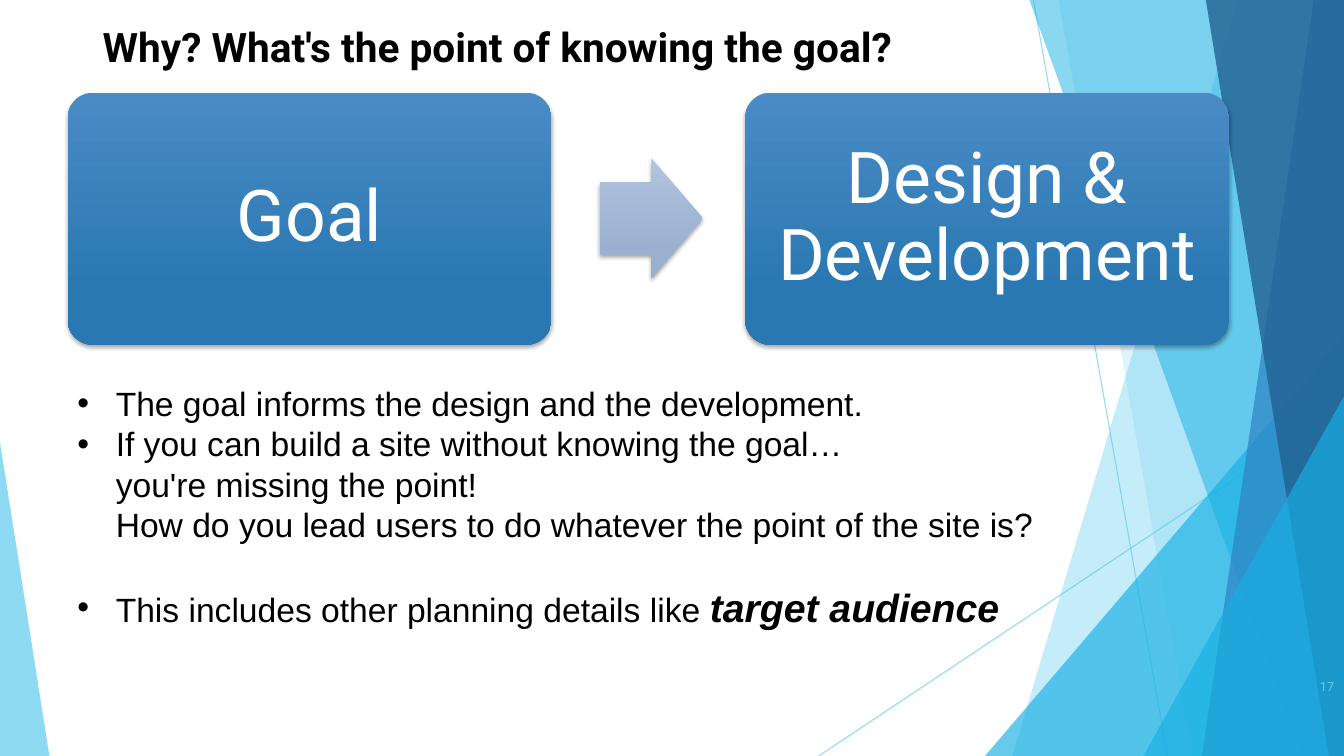
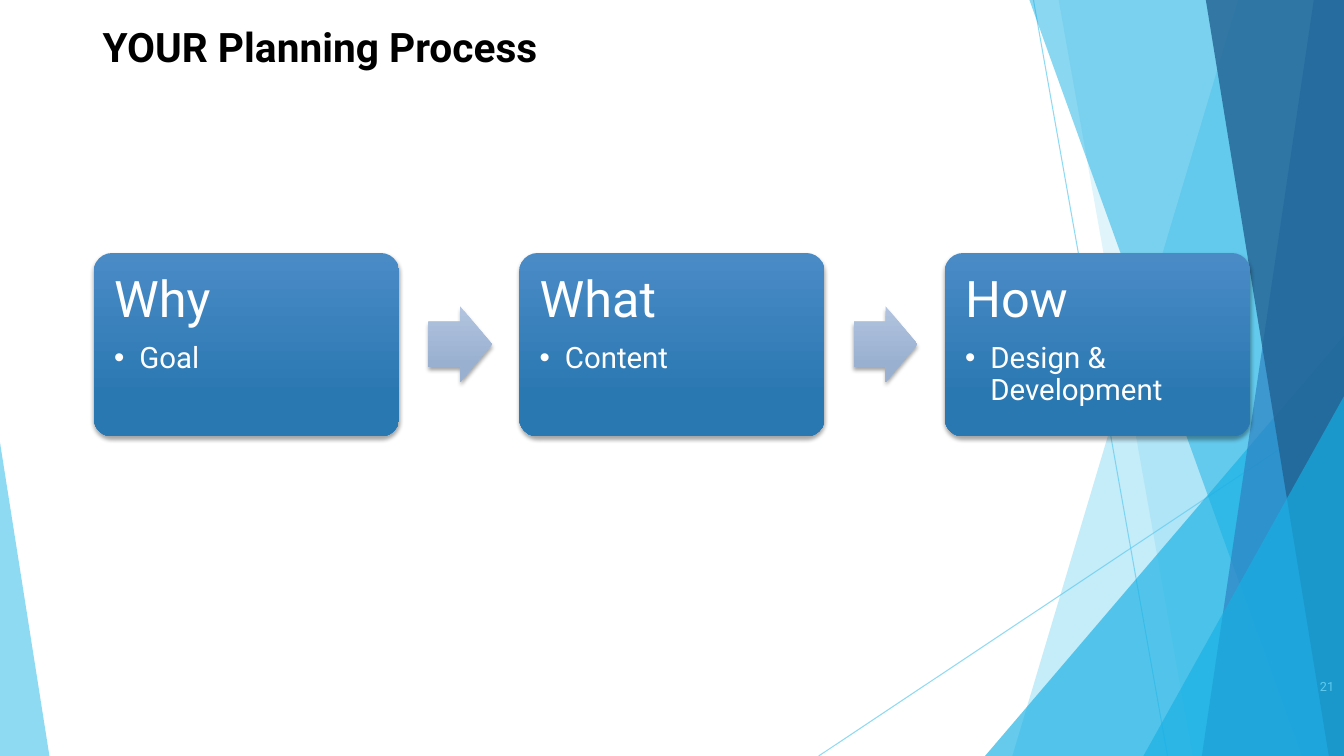
from dataclasses import dataclass

from lxml.etree import SubElement
from pptx import Presentation
from pptx.dml.color import RGBColor
from pptx.enum.shapes import MSO_CONNECTOR, MSO_SHAPE
from pptx.enum.text import MSO_ANCHOR, PP_ALIGN
from pptx.oxml.ns import qn
from pptx.util import Pt

PX = 9144  # EMU per px: 100 px to the inch
WIDTH, HEIGHT = 1333, 750
HEADING_FONT, BODY_FONT = "Roboto", "Arial"
BLACK, WHITE = "000000", "FFFFFF"
SKY, CYAN, BLUE, NAVY = "5FCBEF", "17B0E4", "2E83C3", "226292"
CARD_COLORS = ("4A8BC6", "2A78B2")
ARROW_COLORS = ("B2C4DF", "99B0D0")


@dataclass(frozen=True)
class Ray:
    start: tuple[int, int]
    end: tuple[int, int]


@dataclass(frozen=True)
class Band:
    """A facet of the backdrop, filled with a see-through colour."""
    points: tuple[tuple[int, int], ...]
    color: str
    opacity: int


@dataclass(frozen=True)
class Card:
    heading: str
    bullet: str = ""


@dataclass(frozen=True)
class Flow:
    """A row of equal cards with an arrow in each gap."""
    left: int
    top: int
    width: int
    height: int
    pitch: int
    inset: int
    heading_size: int
    anchor: MSO_ANCHOR
    align: PP_ALIGN
    cards: tuple[Card, ...]


@dataclass(frozen=True)
class Point:
    lines: tuple[str, ...]
    emphasis: str = ""
    space_before: int = 0


def right_band(top: int, bottom: int, color: str, opacity: int) -> Band:
    """A band that reaches from a slanted left edge to the slide's right edge."""
    points = ((top, 0), (WIDTH, 0), (WIDTH, HEIGHT), (bottom, HEIGHT))
    return Band(points, color, opacity)


def corner_band(left: int, top: int) -> Band:
    """A triangle in the bottom right corner."""
    return Band(((WIDTH, top), (WIDTH, HEIGHT), (left, HEIGHT)), CYAN, 66)


RAYS = (Ray((1025, 0), (1158, HEIGHT)), Ray((WIDTH, 403), (812, HEIGHT)))
BANDS = (
    right_band(1228, 1004, SKY, 36),
    right_band(1050, 1183, SKY, 20),
    corner_band(977, 333),
    right_band(1021, 1291, CYAN, 50),
    right_band(1303, 1192, BLUE, 70),
    right_band(1196, 1318, NAVY, 80),
    corner_band(1134, 393),
    Band(((0, 439), (49, HEIGHT), (0, HEIGHT)), SKY, 70),
)

GOAL_FLOW = Flow(67, 92, 480, 250, 672, 21, 51, MSO_ANCHOR.MIDDLE, PP_ALIGN.CENTER,
                 (Card("Goal"), Card("Design & Development")))
PLANNING_FLOW = Flow(93, 251, 303, 182, 422, 15, 36, MSO_ANCHOR.TOP, PP_ALIGN.LEFT,
                     (Card("Why", "Goal"), Card("What", "Content"),
                      Card("How", "Design & Development")))
GOAL_POINTS = (
    Point(("The goal informs the design and the development.",)),
    Point(("If you can build a site without knowing the goal…",
           "you're missing the point!",
           "How do you lead users to do whatever the point of the site is?")),
    Point(("This includes other planning details like ",), "target audience", 28),
)


# Formatting helpers
def rgb(color: str) -> RGBColor:
    return RGBColor.from_string(color)


def set_opacity(element, percent: int) -> None:
    """Make the solid colour inside a shape's properties see-through."""
    color = next(element.iter(qn("a:srgbClr")))
    SubElement(color, qn("a:alpha"), val=str(percent * 1000))


def set_font(font, name: str, size: int, color: str, bold: bool = False) -> None:
    font.name, font.size, font.bold = name, Pt(size), bold
    font.color.rgb = rgb(color)


def add_bullet(para, indent: int) -> None:
    properties = para._p.get_or_add_pPr()
    properties.set("marL", str(indent * PX))
    properties.set("indent", str(-indent * PX))
    SubElement(properties, qn("a:buFont"), typeface=BODY_FONT)
    SubElement(properties, qn("a:buChar"), char="•")


def add_text_box(page, left: int, top: int, width: int, height: int):
    box = page.shapes.add_textbox(left * PX, top * PX, width * PX, height * PX)
    box.text_frame.word_wrap = True
    return box.text_frame


# Shared parts of every slide
def draw_backdrop(page) -> None:
    for ray in RAYS:
        ends = [value * PX for value in ray.start + ray.end]
        line = page.shapes.add_connector(MSO_CONNECTOR.STRAIGHT, *ends)
        line.line.width = Pt(0.75)
        line.line.color.rgb = rgb(SKY)
        properties = line._element.spPr
        set_opacity(properties, 70)
        SubElement(properties, qn("a:effectLst"))
    for band in BANDS:
        builder = page.shapes.build_freeform(*band.points[0], scale=PX)
        builder.add_line_segments(band.points[1:], close=True)
        facet = builder.convert_to_shape()
        facet.shadow.inherit = False
        facet.fill.solid()
        facet.fill.fore_color.rgb = rgb(band.color)
        set_opacity(facet._element.spPr, band.opacity)
        facet.line.fill.background()


def draw_title(page, title: str) -> None:
    para = add_text_box(page, 92, 17, 1150, 100).paragraphs[0]
    para.text = title
    set_font(para.font, HEADING_FONT, 29, BLACK, bold=True)


def draw_page_number(page, number: int) -> None:
    frame = add_text_box(page, 1259, 661, 74, 40)
    frame.vertical_anchor = MSO_ANCHOR.MIDDLE
    para = frame.paragraphs[0]
    para.text = str(number)
    para.alignment = PP_ALIGN.RIGHT
    set_font(para.font, HEADING_FONT, 9, SKY)


def add_page(deck, title: str, number: int, flow: Flow):
    page = deck.slides.add_slide(deck.slide_layouts[6])
    draw_backdrop(page)
    draw_flow(page, flow)
    draw_title(page, title)
    draw_page_number(page, number)
    return page


# Flow of cards and arrows
def add_raised_shape(page, kind: MSO_SHAPE, left: int, top: int, width: int,
                     height: int, colors: tuple[str, str]):
    """Add a shape with a downward gradient and a soft shadow below it."""
    shape = page.shapes.add_shape(kind, left * PX, top * PX, width * PX, height * PX)
    shape.line.fill.background()
    shape.fill.gradient()
    shape.fill.gradient_angle = 270
    for stop, color, position in zip(shape.fill.gradient_stops, colors, (0, 0.78)):
        stop.color.rgb = rgb(color)
        stop.position = position
    shape.shadow.inherit = False
    effects = shape._element.spPr.find(qn("a:effectLst"))
    shadow = SubElement(effects, qn("a:outerShdw"), blurRad=str(Pt(3)),
                        dist=str(Pt(2)), dir="5400000", rotWithShape="0")
    SubElement(shadow, qn("a:srgbClr"), val=BLACK)
    set_opacity(shadow, 35)
    return shape


def draw_card(page, flow: Flow, card: Card, left: int) -> None:
    shape = add_raised_shape(page, MSO_SHAPE.ROUNDED_RECTANGLE, left, flow.top,
                             flow.width, flow.height, CARD_COLORS)
    shape.adjustments[0] = 0.1
    frame = shape.text_frame
    frame.word_wrap = True
    frame.vertical_anchor = flow.anchor
    frame.margin_left = frame.margin_right = flow.inset * PX
    frame.margin_top = frame.margin_bottom = flow.inset * PX
    para = frame.paragraphs[0]
    para.text = card.heading
    para.alignment = flow.align
    para.line_spacing = 0.9
    set_font(para.font, HEADING_FONT, flow.heading_size, WHITE)
    if card.bullet:
        para.space_after = Pt(11)
        para = frame.add_paragraph()
        para.text = card.bullet
        add_bullet(para, 25)
        para.alignment = flow.align
        para.line_spacing = 0.9
        set_font(para.font, HEADING_FONT, 21, WHITE)


def draw_flow(page, flow: Flow) -> None:
    gap = flow.pitch - flow.width
    arrow_width, arrow_height = round(gap * 0.53), round(flow.width * 0.248)
    arrow_top = flow.top + (flow.height - arrow_height) // 2
    for index, card in enumerate(flow.cards):
        left = flow.left + index * flow.pitch
        if index:
            arrow = add_raised_shape(page, MSO_SHAPE.RIGHT_ARROW, left - gap + gap // 4,
                                     arrow_top, arrow_width, arrow_height, ARROW_COLORS)
            arrow.adjustments[0] = 0.6
        draw_card(page, flow, card, left)


# Bulleted text
def draw_points(page, points: tuple[Point, ...]) -> None:
    frame = add_text_box(page, 67, 375, 983, 259)
    for index, point in enumerate(points):
        para = frame.add_paragraph() if index else frame.paragraphs[0]
        add_bullet(para, 38)
        if point.space_before:
            para.space_before = Pt(point.space_before)
        set_font(para.font, BODY_FONT, 24, BLACK)
        para.text = "\v".join(point.lines)
        if point.emphasis:
            span = para.add_run()
            span.text = point.emphasis
            span.font.size = Pt(28)
            span.font.bold = span.font.italic = True


def main() -> None:
    deck = Presentation()
    deck.slide_width, deck.slide_height = WIDTH * PX, HEIGHT * PX
    goal_page = add_page(deck, "Why? What's the point of knowing the goal?", 17, GOAL_FLOW)
    draw_points(goal_page, GOAL_POINTS)
    add_page(deck, "YOUR Planning Process", 21, PLANNING_FLOW)
    deck.save("out.pptx")


if __name__ == "__main__":
    main()
